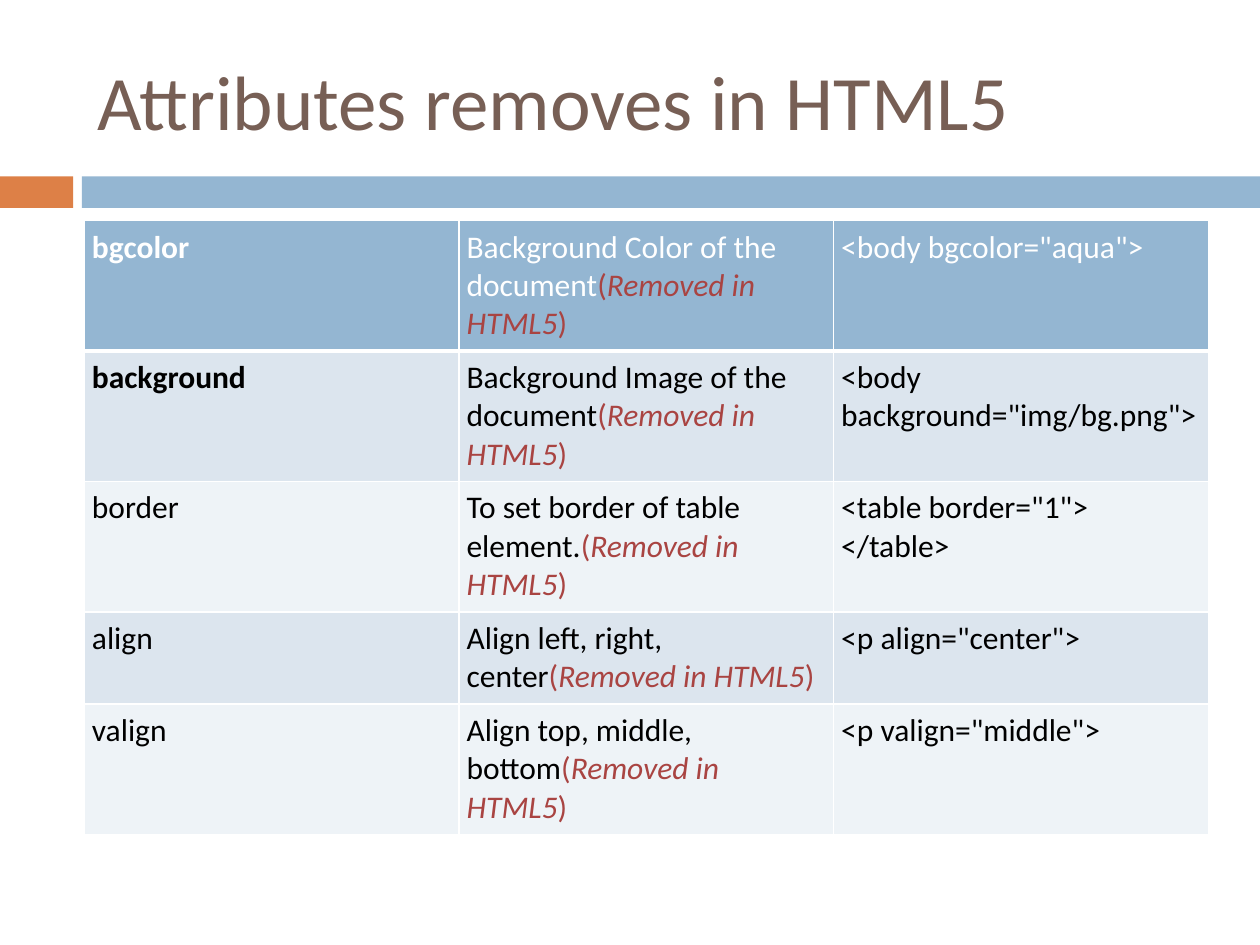
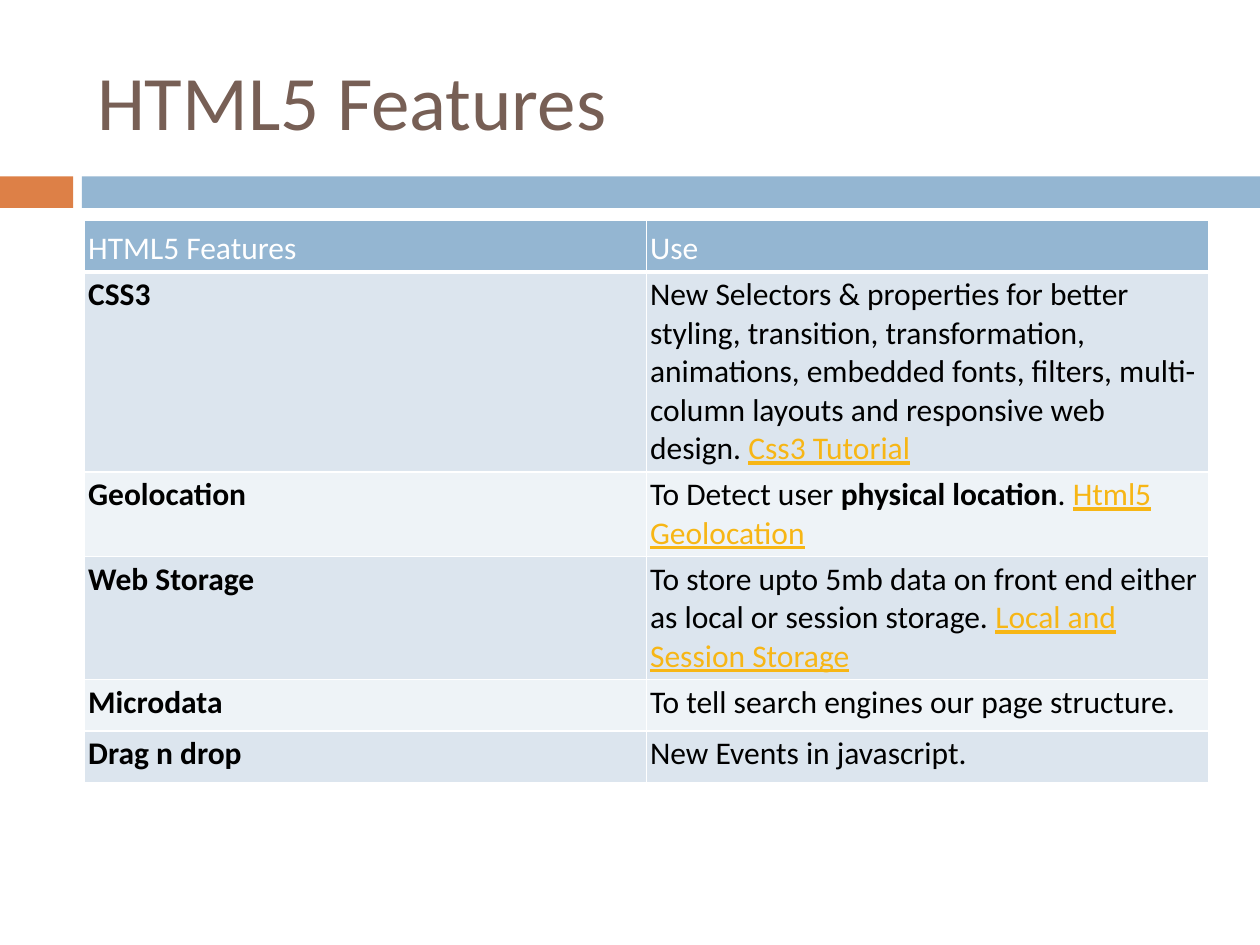
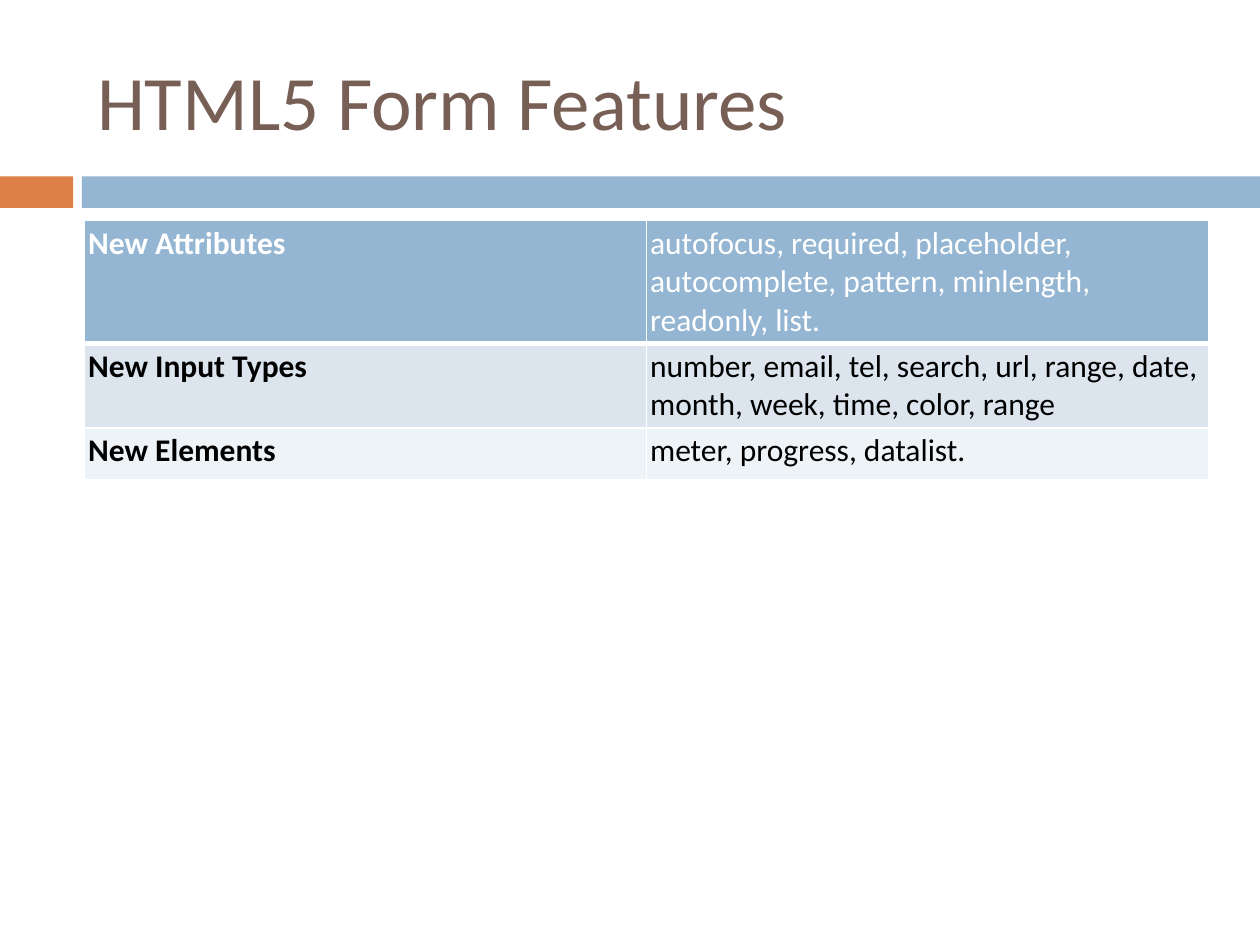
import lxml.etree
import pptx
import pptx.dml.color
import pptx.enum.shapes
import pptx.enum.text
import pptx.oxml.ns
import pptx.util
from pptx.dml.color import RGBColor
from pptx.util import Inches

FONT = "Calibri"
WHITE = RGBColor(0xFF, 0xFF, 0xFF)
BLACK = RGBColor(0x00, 0x00, 0x00)
BROWN = RGBColor(0x77, 0x5F, 0x55)
ORANGE = RGBColor(0xDD, 0x80, 0x47)
BLUE = RGBColor(0x94, 0xB6, 0xD2)
PALE_BLUE = RGBColor(0xDC, 0xE5, 0xEE)
PALER_BLUE = RGBColor(0xEE, 0xF3, 0xF7)
RED = RGBColor(0xA9, 0x44, 0x42)
GOLD = RGBColor(0xF7, 0xB6, 0x15)

LEFT, CONTENT_WIDTH = 0.67, 8.92
ROW_HEIGHT = 0.41
BANDS = [(0, 0.58, ORANGE), (0.65, 9.35, BLUE)]
REMOVED = [("(", "red"), ("Removed in HTML5", "red italic"), (")", "red")]

PAGES = [
    ("Attributes removes in HTML5", 0.06, pptx.enum.text.MSO_ANCHOR.TOP, [
        [[("bgcolor", "bold")],
         [("Background Color of the document", ""), *REMOVED],
         [('<body bgcolor="aqua">', "")]],
        [[("background", "bold")],
         [("Background Image of the document", ""), *REMOVED],
         [('<body background="img/bg.png">', "")]],
        [[("border", "")],
         [("To set border of table element.", ""), *REMOVED],
         [('<table border="1"> </table>', "")]],
        [[("align", "")],
         [("Align left, right, center", ""), *REMOVED],
         [('<p align="center">', "")]],
        [[("valign", "")],
         [("Align top, middle, bottom", ""), *REMOVED],
         [('<p valign="middle">', "")]],
    ]),
    ("HTML5 Features", 0.03, pptx.enum.text.MSO_ANCHOR.BOTTOM, [
        [[("HTML5\u00a0Features", "")], [("Use", "")]],
        [[("CSS3", "bold")],
         [("New Selectors & properties for better styling, transition, "
           "transformation, animations, embedded fonts, filters, multi-column "
           "layouts and responsive web design.\u00a0", ""),
          ("Css3 Tutorial", "gold underline")]],
        [[("Geolocation", "bold")],
         [("To Detect user\u00a0", ""), ("physical location", "bold"),
          (".\u00a0", ""), ("Html5 Geolocation", "gold underline")]],
        [[("Web Storage", "bold")],
         [("To store upto 5mb data on front end either as local or session "
           "storage.\u00a0", ""),
          ("Local and Session Storage", "gold underline")]],
        [[("Microdata", "bold")],
         [("To tell search engines our page structure.", "")]],
        [[("Drag n drop", "bold")], [("New Events in javascript.", "")]],
    ]),
    ("HTML5 Form Features", 0.03, pptx.enum.text.MSO_ANCHOR.TOP, [
        [[("New Attributes", "bold")],
         [("autofocus, required, placeholder, autocomplete, pattern, "
           "minlength, readonly, list.", "")]],
        [[("New Input Types", "bold")],
         [("number, email, tel, search, url, range, date, month, week, time, "
           "color, range", "")]],
        [[("New Elements", "bold")], [("meter, progress, datalist.", "")]],
    ]),
]


def add_borders(cell, bottom_width):
    properties = cell._tc.get_or_add_tcPr()
    for side, width in (("L", 1), ("R", 1), ("T", 1), ("B", bottom_width)):
        line = lxml.etree.SubElement(
            properties, pptx.oxml.ns.qn("a:ln" + side), w=str(pptx.util.Pt(width)))
        fill = lxml.etree.SubElement(line, pptx.oxml.ns.qn("a:solidFill"))
        lxml.etree.SubElement(fill, pptx.oxml.ns.qn("a:srgbClr"), val=str(WHITE))


def fill_cell(cell, spans, text_color):
    para = cell.text_frame.paragraphs[0]
    para.font.name = FONT
    para.font.size = pptx.util.Pt(18)
    for text, style in spans:
        span = para.add_run()
        span.text = text
        span.font.bold = "bold" in style
        span.font.italic = "italic" in style
        span.font.underline = "underline" in style
        color = RED if "red" in style else GOLD if "gold" in style else text_color
        span.font.color.rgb = color


deck = pptx.Presentation()
deck.slide_width = Inches(10)
deck.slide_height = Inches(7.5)
title_only = deck.slide_layouts[5]

for heading, inset, header_anchor, rows in PAGES:
    page = deck.slides.add_slide(title_only)

    for left, width, color in BANDS:
        band = page.shapes.add_shape(
            pptx.enum.shapes.MSO_SHAPE.RECTANGLE,
            Inches(left), Inches(1.4), Inches(width), Inches(0.25))
        band.shadow.inherit = False
        band.fill.solid()
        band.fill.fore_color.rgb = color
        band.line.fill.background()

    title = page.shapes.title
    title.left, title.top = Inches(LEFT), Inches(0.25)
    title.width, title.height = Inches(CONTENT_WIDTH), Inches(1.08)
    title.text_frame.text = heading
    title.text_frame.auto_size = pptx.enum.text.MSO_AUTO_SIZE.NONE
    title.text_frame.vertical_anchor = pptx.enum.text.MSO_ANCHOR.MIDDLE
    para = title.text_frame.paragraphs[0]
    para.alignment = pptx.enum.text.PP_ALIGN.LEFT
    para.font.name = FONT
    para.font.size = pptx.util.Pt(44)
    para.font.color.rgb = BROWN

    table = page.shapes.add_table(
        len(rows), len(rows[0]), Inches(LEFT), Inches(1.75),
        Inches(CONTENT_WIDTH), Inches(ROW_HEIGHT * len(rows))).table
    for row_index, row in enumerate(rows):
        is_header = row_index == 0
        for column_index, spans in enumerate(row):
            cell = table.cell(row_index, column_index)
            cell.margin_left = cell.margin_right = Inches(inset)
            cell.margin_top = cell.margin_bottom = Inches(inset)
            cell.vertical_anchor = (
                header_anchor if is_header else pptx.enum.text.MSO_ANCHOR.TOP)
            add_borders(cell, 3 if is_header else 1)
            cell.fill.solid()
            cell.fill.fore_color.rgb = (
                BLUE if is_header else PALE_BLUE if row_index % 2 else PALER_BLUE)
            fill_cell(cell, spans, WHITE if is_header else BLACK)

deck.save("out.pptx")
